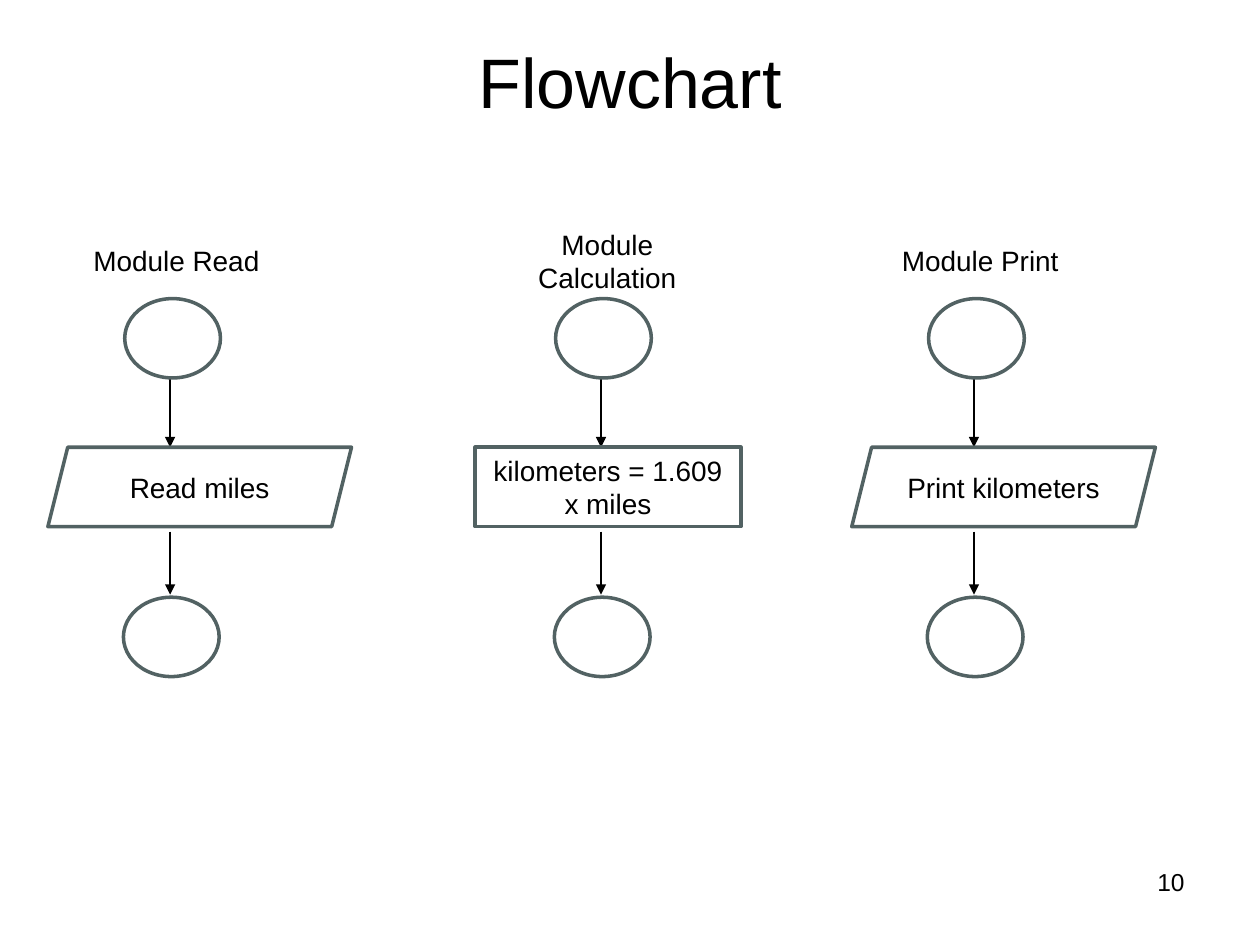
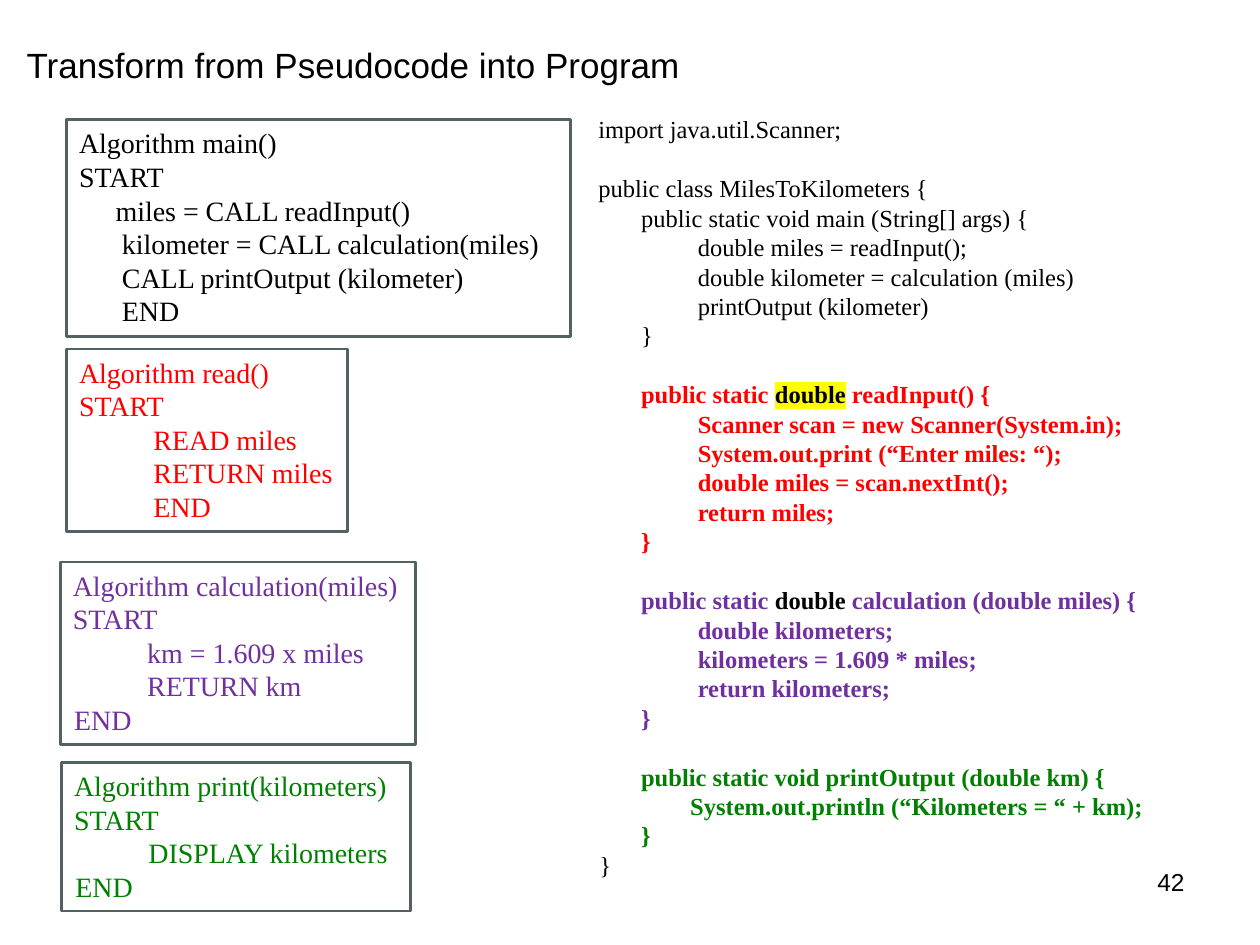
from lxml import etree
from pptx import Presentation
from pptx.dml.color import RGBColor
from pptx.enum.shapes import MSO_CONNECTOR, MSO_SHAPE as SHAPE
from pptx.enum.text import MSO_ANCHOR as ANCHOR, PP_ALIGN as ALIGN
from pptx.oxml.ns import qn
from pptx.util import Inches, Pt

COLORS = {
    "text": "000000",
    "outline": "526263",
    "read": "FF0000",
    "calculation": "7030A0",
    "print": "008000",
    "marker": "FFFF00",
}
SANS, SERIF = "Arial", "Times New Roman"
CODE_LEADING = 1.2

# Module name, axis of the column, shape of the step, its offset and width, its text
MODULES = [
    ("Module Read", 1.35, SHAPE.PARALLELOGRAM, 0.97, 2.41, "Read miles"),
    ("Module Calculation", 4.77, SHAPE.RECTANGLE, 1.0, 2.11,
     "kilometers = 1.609 x miles"),
    ("Module Print", 7.73, SHAPE.PARALLELOGRAM, 0.97, 2.41, "Print kilometers"),
]

# Box, colour, lines as (indent, text)
PSEUDOCODE = [
    ((0.53, 0.95, 4, 1.72), "text", [
        (0, "Algorithm main()"),
        (0, "START"),
        (0.29, "miles = CALL readInput()"),
        (0.34, "kilometer = CALL calculation(miles)"),
        (0.34, "CALL printOutput (kilometer)"),
        (0.34, "END")]),
    ((0.53, 2.77, 2.23, 1.45), "read", [
        (0, "Algorithm read()"),
        (0, "START"),
        (0.59, "READ miles"),
        (0.59, "RETURN miles"),
        (0.59, "END")]),
    ((0.48, 4.46, 2.82, 1.45), "calculation", [
        (0, "Algorithm calculation(miles)"),
        (0, "START"),
        (0.59, "km = 1.609 x miles"),
        (0.59, "RETURN km"),
        (0.01, "END")]),
    ((0.49, 6.05, 2.77, 1.18), "print", [
        (0, "Algorithm print(kilometers)"),
        (0, "START"),
        (0.59, "DISPLAY kilometers"),
        (0.01, "END")]),
]

# Colour and lines of each block; a line's text may be a list of (text, colour, marker)
METHOD, BODY = 0.34, 0.79
PROGRAM = [
    ("text", [(0, "import java.util.Scanner;")]),
    ("text", [
        (0, "public class MilesToKilometers {"),
        (METHOD, "public static void main (String[] args) {"),
        (BODY, "double miles = readInput();"),
        (BODY, "double kilometer = calculation (miles)"),
        (BODY, "printOutput (kilometer)"),
        (METHOD, "}")]),
    ("read", [
        (METHOD, [("public static ", "read", None), ("double", "text", "marker"),
                  (" readInput() {", "read", None)]),
        (BODY, "Scanner scan = new Scanner(System.in);"),
        (BODY, "System.out.print (“Enter miles: “);"),
        (BODY, "double miles = scan.nextInt();"),
        (BODY, "return miles;"),
        (METHOD, "}")]),
    ("calculation", [
        (METHOD, [("public static ", "calculation", None), ("double", "text", None),
                  (" calculation (double miles) {", "calculation", None)]),
        (BODY, "double kilometers;"),
        (BODY, "kilometers = 1.609 * miles;"),
        (BODY, "return kilometers;"),
        (METHOD, "}")]),
    ("print", [
        (METHOD, "public static void printOutput (double km) {"),
        (0.73, "System.out.println (“Kilometers = “ + km);"),
        (METHOD, "}")]),
]


def rgb(name):
    return RGBColor.from_string(COLORS[name])


def style_font(font, size, name=SANS, color="text", bold=False):
    font.size, font.name, font.bold = Pt(size), name, bold
    font.color.rgb = rgb(color)


def mark_run(r, color):
    """Put a highlighter colour behind a run."""
    highlight = etree.Element(qn("a:highlight"))
    etree.SubElement(highlight, qn("a:srgbClr"), val=COLORS[color])
    r.font._element.find(qn("a:solidFill")).addnext(highlight)


def set_label(sp, text, size, align=ALIGN.CENTER, anchor=ANCHOR.MIDDLE):
    tf = sp.text_frame
    tf.word_wrap, tf.vertical_anchor = True, anchor
    p = tf.paragraphs[0]
    p.text, p.alignment = text, align
    style_font(p.runs[0].font, size)


def add_label(shapes, box, text, size, **layout):
    sp = shapes.add_textbox(*map(Inches, box))
    set_label(sp, text, size, **layout)


def add_outline(shapes, kind, box, width=2):
    sp = shapes.add_shape(kind, *map(Inches, box))
    sp.shadow.inherit = False
    sp.fill.background()
    sp.line.color.rgb, sp.line.width = rgb("outline"), Pt(width)
    return sp


def add_down_arrow(shapes, x, top, bottom):
    line = shapes.add_connector(MSO_CONNECTOR.STRAIGHT,
                                *map(Inches, (x, top, x, bottom)))
    line.line.color.rgb, line.line.width = rgb("text"), Pt(0.75)
    etree.SubElement(line.line._get_or_add_ln(), qn("a:tailEnd"), type="triangle")
    etree.SubElement(line._element.spPr, qn("a:effectLst"))


def add_module(slide, name, axis, kind, offset, width, step):
    """Draw one column: name, circle, step and circle joined by arrows."""
    shapes = slide.shapes.add_group_shape().shapes
    add_down_arrow(shapes, axis, 3, 3.55)
    add_down_arrow(shapes, axis, 4.22, 4.72)
    add_outline(shapes, SHAPE.OVAL, (axis - 0.36, 2.37, 0.76, 0.63))
    add_outline(shapes, SHAPE.OVAL, (axis - 0.37, 4.74, 0.76, 0.63))
    sp = add_outline(shapes, kind, (axis - offset, 3.55, width, 0.63))
    set_label(sp, step, 16)
    add_label(shapes, (axis - 0.93, 1.73, 1.96, 0.68), name, 16)


def add_code_line(p, text, indent, size, color, bold=False, gap=False):
    """Write one line of code; gap leaves the height of a line above it."""
    leading = Pt(size * CODE_LEADING)
    p.alignment, p.line_spacing = ALIGN.LEFT, leading
    p.space_before = leading if gap else Pt(0)
    p._p.get_or_add_pPr().set("marL", str(Inches(indent)))
    parts = [(text, color, None)] if isinstance(text, str) else text
    for words, words_color, marker in parts:
        r = p.add_run()
        r.text = words
        style_font(r.font, size, SERIF, words_color, bold)
        if marker:
            mark_run(r, marker)


def next_paragraph(tf):
    first = tf.paragraphs[0]
    return tf.add_paragraph() if first.runs else first


def add_pseudocode(slide, box, color, lines):
    tf = add_outline(slide.shapes, SHAPE.RECTANGLE, box, 1.5).text_frame
    tf.word_wrap, tf.vertical_anchor = True, ANCHOR.TOP
    for indent, text in lines:
        add_code_line(next_paragraph(tf), text, indent, 16, color)


def add_program(slide, box, blocks):
    tf = slide.shapes.add_textbox(*map(Inches, box)).text_frame
    tf.word_wrap = True
    for number, (color, lines) in enumerate(blocks):
        for row, (indent, text) in enumerate(lines):
            add_code_line(next_paragraph(tf), text, indent, 14, color,
                          bold=color != "text", gap=number > 0 and row == 0)
    add_code_line(next_paragraph(tf), "}", 0.01, 14, "text")


def add_slide(prs, title, title_box, title_size, number):
    slide = prs.slides.add_slide(prs.slide_layouts[6])
    add_label(slide.shapes, title_box, title, title_size)
    add_label(slide.shapes, (7.17, 6.83, 2.33, 0.52), number, 14,
              align=ALIGN.RIGHT, anchor=ANCHOR.TOP)
    return slide


def main():
    prs = Presentation()
    prs.slide_width, prs.slide_height = Inches(10), Inches(7.5)

    slide = add_slide(prs, "Flowchart", (0.5, 0.3, 9, 0.68), 40, "10")
    for module in MODULES:
        add_module(slide, *module)

    slide = add_slide(prs, "Transform from Pseudocode into Program",
                      (-0.01, 0.17, 5.63, 0.68), 20, "42")
    for algorithm in PSEUDOCODE:
        add_pseudocode(slide, *algorithm)
    add_program(slide, (4.65, 0.86, 5.1, 6.23), PROGRAM)

    prs.save("out.pptx")


if __name__ == "__main__":
    main()
